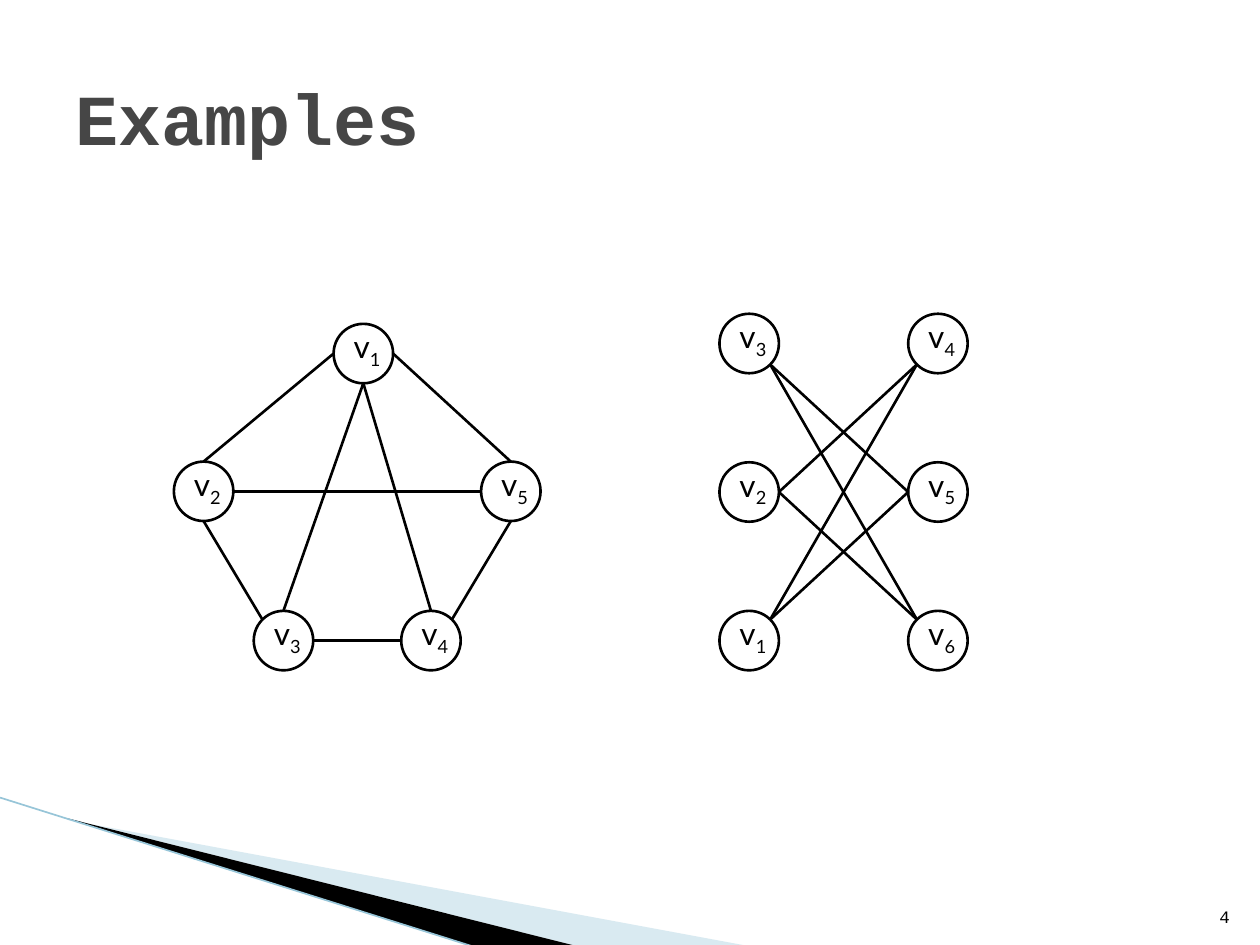
import math

from lxml import etree
from pptx import Presentation, util as u
from pptx.dml import color
from pptx.enum import shapes, text
from pptx.oxml import ns

COLORS = {
    "ink": "000000",
    "paper": "FFFFFF",
    "title": "464646",
    "pale": "A0CBDC",
    "accent": "97C5D8",
}
WIDTH, HEIGHT = u.Inches(10), u.Inches(7.5)
COLUMN, ROW = WIDTH / 100, HEIGHT / 75
NODE_SIZE = 4.72
SITES = {"right": 0, "bottom_right": 45, "bottom": 90, "bottom_left": 135,
         "left": 180, "top": 270}

PENTAGON_NODES = {"1": (0.52, 0), "2": (0, 0.48), "3": (0.26, 1),
                  "4": (0.74, 1), "5": (1, 0.48)}
PENTAGON_EDGES = [
    ("5", "bottom", "4", "top_right"),
    ("3", "right", "4", "left"),
    ("3", "top_left", "2", "bottom"),
    ("2", "top", "1", "left"),
    ("5", "top", "1", "right"),
    ("3", "top", "1", "bottom"),
    ("4", "top", "1", "bottom"),
    ("5", "left", "2", "right"),
]
SITES.update(top_left=225, top_right=315)

BIPARTITE_NODES = {label: (column, row / 2)
                   for column, labels in enumerate(("321", "456"))
                   for row, label in enumerate(labels)}
BIPARTITE_EDGES = [
    ("5", "left", "3", "bottom_right"),
    ("1", "top_right", "4", "bottom_left"),
    ("2", "right", "4", "bottom_left"),
    ("6", "top_left", "2", "right"),
    ("6", "top_left", "3", "bottom_right"),
    ("1", "top_right", "5", "left"),
]


def rgb(name):
    return color.RGBColor.from_string(COLORS[name])


def place(left, top, width, height):
    return (round(left * COLUMN), round(top * ROW),
            round(width * COLUMN), round(height * ROW))


def style_run(run, font_name, size, color_name, bold=False):
    run.font.name = font_name
    run.font.size = u.Pt(size)
    run.font.color.rgb = rgb(color_name)
    run.font.bold = bold


def add_line(slide, start, end, color_name, weight):
    points = [round(value) for x, y in (start, end) for value in (x * COLUMN, y * ROW)]
    line = slide.shapes.add_connector(shapes.MSO_CONNECTOR.STRAIGHT, *points)
    line.line.color.rgb = rgb(color_name)
    line.line.width = u.Pt(weight)
    etree.SubElement(line._element.spPr, ns.qn("a:effectLst"))


def add_wedge(slide, points, color_name, opacity):
    corners = [(round(x * COLUMN), round(y * ROW)) for x, y in points]
    builder = slide.shapes.build_freeform(*corners[0], scale=1.0)
    builder.add_line_segments(corners[1:], close=True)
    wedge = builder.convert_to_shape()
    wedge.shadow.inherit = False
    wedge.line.fill.background()
    wedge.fill.solid()
    wedge.fill.fore_color.rgb = rgb(color_name)
    if opacity < 100:
        fill_color = wedge._element.spPr.find(".//" + ns.qn("a:srgbClr"))
        etree.SubElement(fill_color, ns.qn("a:alpha"), val=str(opacity * 1000))


def add_corner_decoration(slide, box):
    left, top, width, height = box

    def inside(points):
        return [(left + x * width, top + y * height) for x, y in points]

    add_wedge(slide, inside([(0.09, 0.15), (1, 1), (0.77, 1), (0.09, 0.14)]), "pale", 40)
    add_wedge(slide, inside([(0.09, 0.14), (0.77, 1), (0.63, 1), (0.09, 0.14)]), "ink", 100)
    add_line(slide, *inside([(0, 0), (0.63, 1)]), "accent", 0.95)


def add_label(slide, box, content, size, color_name, bold, align, anchor):
    label = slide.shapes.add_textbox(*place(*box))
    frame = label.text_frame
    frame.word_wrap = True
    frame.vertical_anchor = anchor
    frame.text = content
    paragraph = frame.paragraphs[0]
    paragraph.alignment = align
    style_run(paragraph.runs[0], "Courier New", size, color_name, bold)


def add_node(slide, center, subscript):
    x, y = (value - NODE_SIZE / 2 for value in center)
    node = slide.shapes.add_shape(shapes.MSO_SHAPE.OVAL,
                                  *place(x, y, NODE_SIZE, NODE_SIZE))
    node.shadow.inherit = False
    node.fill.solid()
    node.fill.fore_color.rgb = rgb("paper")
    node.line.color.rgb = rgb("ink")
    node.line.width = u.Pt(1.5)
    frame = node.text_frame
    frame.word_wrap = False
    frame.vertical_anchor = text.MSO_ANCHOR.MIDDLE
    frame.margin_left, frame.margin_bottom = u.Inches(0.09), u.Inches(0.08)
    frame.margin_top = frame.margin_right = 0
    paragraph = frame.paragraphs[0]
    paragraph.alignment = text.PP_ALIGN.LEFT
    for content in ("v", subscript):
        run = paragraph.add_run()
        run.text = content
        style_run(run, "Lato", 18, "ink")
    run._r.get_or_add_rPr().set("baseline", "-25000")


def add_graph(slide, box, nodes, edges):
    left, top, width, height = box
    radius = NODE_SIZE / 2
    centers = {label: (left + radius + x * (width - NODE_SIZE),
                       top + radius + y * (height - NODE_SIZE))
               for label, (x, y) in nodes.items()}

    def site(label, side):
        x, y = centers[label]
        angle = math.radians(SITES[side])
        return x + radius * math.cos(angle), y + radius * math.sin(angle)

    for first, first_side, second, second_side in edges:
        add_line(slide, site(first, first_side), site(second, second_side), "ink", 1.5)
    for label, center in centers.items():
        add_node(slide, center, label)


def main():
    presentation = Presentation()
    presentation.slide_width, presentation.slide_height = WIDTH, HEIGHT
    slide = presentation.slides.add_slide(presentation.slide_layouts[6])
    add_corner_decoration(slide, (0, 63.3, 59.5, 11.8))
    add_label(slide, (94.6, 70.1, 4, 4), "4", 10, "ink", False,
              text.PP_ALIGN.RIGHT, text.MSO_ANCHOR.BOTTOM)
    add_label(slide, (5, 3, 90, 12.5), "Examples", 41, "title", True,
              text.PP_ALIGN.LEFT, text.MSO_ANCHOR.MIDDLE)
    add_graph(slide, (57.1, 24.9, 19.7, 28.3), BIPARTITE_NODES, BIPARTITE_EDGES)
    add_graph(slide, (13.8, 25.7, 29.1, 27.5), PENTAGON_NODES, PENTAGON_EDGES)
    presentation.save("out.pptx")


if __name__ == "__main__":
    main()
